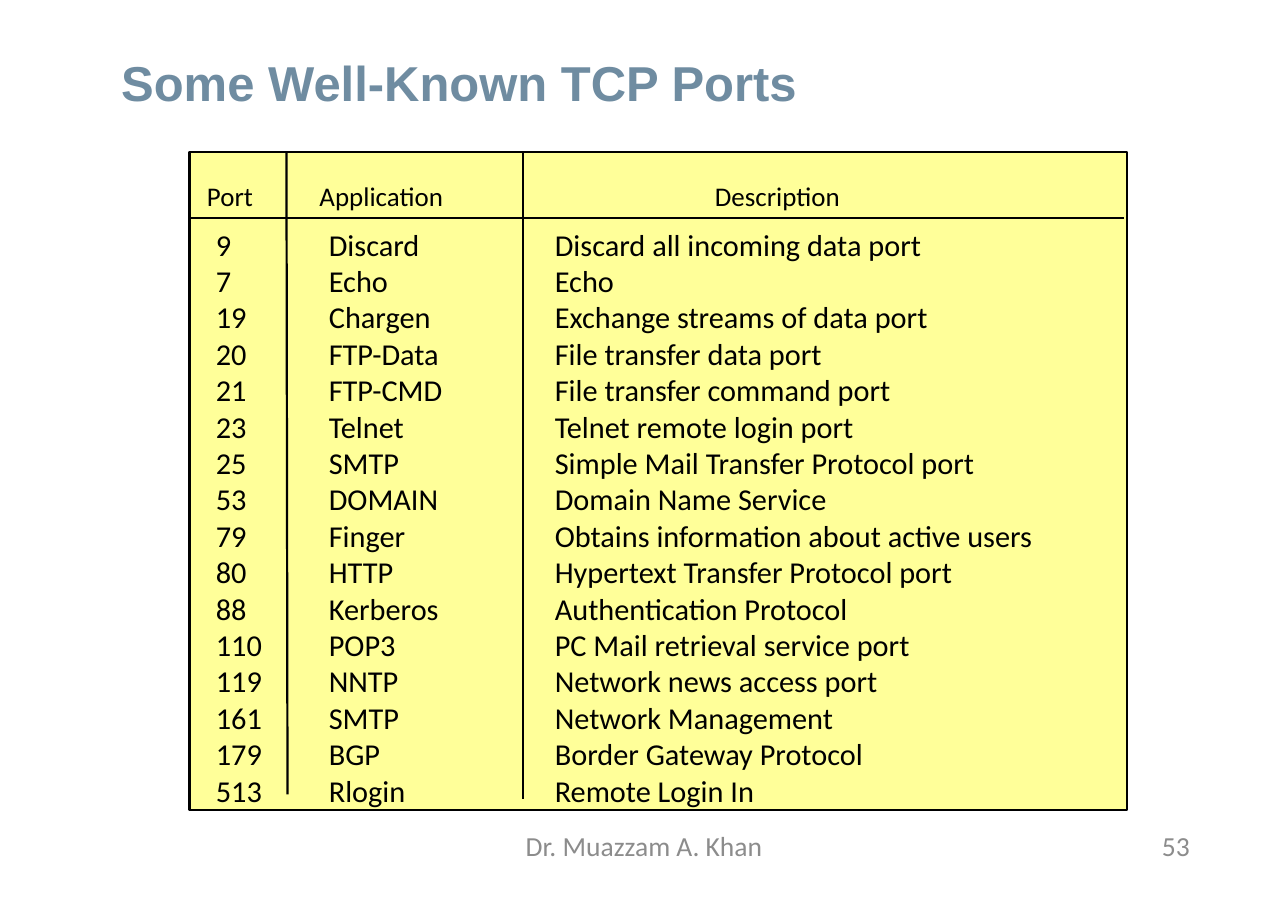
import pptx
import pptx.util
import pptx.dml.color
import pptx.enum.text
import pptx.enum.shapes
import pptx.oxml.ns
import lxml.etree

Pt = pptx.util.Pt
RGBColor = pptx.dml.color.RGBColor
Align = pptx.enum.text.PP_ALIGN
Anchor = pptx.enum.text.MSO_ANCHOR
Shape = pptx.enum.shapes.MSO_SHAPE
Link = pptx.enum.shapes.MSO_CONNECTOR
qn = pptx.oxml.ns.qn

YELLOW = RGBColor(0xFF, 0xFF, 0x99)
BLACK = RGBColor(0, 0, 0)
GREY = RGBColor(0x8C, 0x8C, 0x8C)
SLATE = RGBColor(0x6F, 0x8C, 0xA1)

HEADS = ("Port", "Application", "Description")
PORTS = (
    ("9", "Discard", "Discard all incoming data port"),
    ("7", "Echo", "Echo"),
    ("19", "Chargen", "Exchange streams of data port"),
    ("20", "FTP-Data", "File transfer data port"),
    ("21", "FTP-CMD", "File transfer command port"),
    ("23", "Telnet", "Telnet remote login port"),
    ("25", "SMTP", "Simple Mail Transfer Protocol port"),
    ("53", "DOMAIN", "Domain Name Service"),
    ("79", "Finger", "Obtains information about active users"),
    ("80", "HTTP", "Hypertext Transfer Protocol port"),
    ("88", "Kerberos", "Authentication Protocol"),
    ("110", "POP3", "PC Mail retrieval service port"),
    ("119", "NNTP", "Network news access port"),
    ("161", "SMTP", "Network Management"),
    ("179", "BGP", "Border Gateway Protocol"),
    ("513", "Rlogin", "Remote Login In"),
)
HEAD_TABS = (73.5, 331.9)
TABS = (73.8, 221.5)
PITCH = 23.78


def style(para, size, color, name="Calibri", bold=False):
    font = para.font
    font.name, font.size, font.bold = name, Pt(size), bold
    font.color.rgb = color


def clear(frame):
    frame.margin_left = frame.margin_right = 0
    frame.margin_top = frame.margin_bottom = 0
    frame.word_wrap = True


def add_title(slide, left, top, width, height):
    title = slide.shapes.title
    title.left, title.top = Pt(left), Pt(top)
    title.width, title.height = Pt(width), Pt(height)
    frame = title.text_frame
    clear(frame)
    frame.vertical_anchor = Anchor.MIDDLE
    frame.text = "Some Well-Known TCP Ports"
    para = frame.paragraphs[0]
    para.alignment = Align.LEFT
    style(para, 32, SLATE, "Arial", True)


def add_text(slide, left, top, width, height):
    box = slide.shapes.add_textbox(Pt(left), Pt(top), Pt(width), Pt(height))
    clear(box.text_frame)
    return box.text_frame


def add_note(slide, text, align, left, top, width, height):
    frame = add_text(slide, left, top, width, height)
    frame.text = text
    para = frame.paragraphs[0]
    para.alignment = align
    style(para, 18, GREY)


def fill_rows(frame, rows, stops, size, pitch=None):
    frame.text = "\n".join("\t".join(row) for row in rows)
    for para in frame.paragraphs:
        if pitch:
            para.line_spacing = Pt(pitch)
        props = para._p.get_or_add_pPr()
        tabs = lxml.etree.SubElement(props, qn("a:tabLst"))
        for stop in stops:
            lxml.etree.SubElement(tabs, qn("a:tab"), pos=str(Pt(stop)), algn="l")
        style(para, size, BLACK)


def add_rule(slide, *ends):
    rule = slide.shapes.add_connector(Link.STRAIGHT, *map(Pt, ends))
    rule.line.color.rgb = BLACK
    rule.line.width = Pt(1.45)
    lxml.etree.SubElement(rule._element.spPr, qn("a:effectLst"))


def add_ports(slide, left, top, width, height):
    panel = slide.shapes.add_shape(
        Shape.ROUNDED_RECTANGLE, Pt(left), Pt(top), Pt(width), Pt(height))
    panel.adjustments[0] = 0
    panel.shadow.inherit = False
    panel.fill.solid()
    panel.fill.fore_color.rgb = YELLOW
    panel.line.color.rgb = BLACK
    panel.line.width = Pt(1.45)

    body = add_text(slide, left + 17.3, top + 48.2, 617, 361.4)
    fill_rows(body, PORTS, TABS, 19.8, PITCH)
    head = add_text(slide, left + 11.5, top + 18, 592.6, 30.2)
    fill_rows(head, [HEADS], HEAD_TABS, 17.6)

    add_rule(slide, left, top + 43.2, left + width - 2, top + 43.2)
    add_rule(slide, left + 63.4, top, left + 64.1, top + 419.8)
    add_rule(slide, left + 218.2, top, left + 218.2, top + 422.6)


def main():
    deck = pptx.Presentation()
    deck.slide_width, deck.slide_height = Pt(841.68), Pt(594.72)
    slide = deck.slides.add_slide(deck.slide_layouts[5])
    add_note(slide, "Dr. Muazzam A. Khan", Align.CENTER, 295.2, 541.8, 251.3, 39.6)
    add_note(slide, "53", Align.RIGHT, 592.6, 541.8, 185, 39.6)
    add_ports(slide, 123.8, 99.4, 612.7, 429.8)
    add_title(slide, 79.2, 32, 698.4, 43.2)
    deck.save("out.pptx")


if __name__ == "__main__":
    main()
